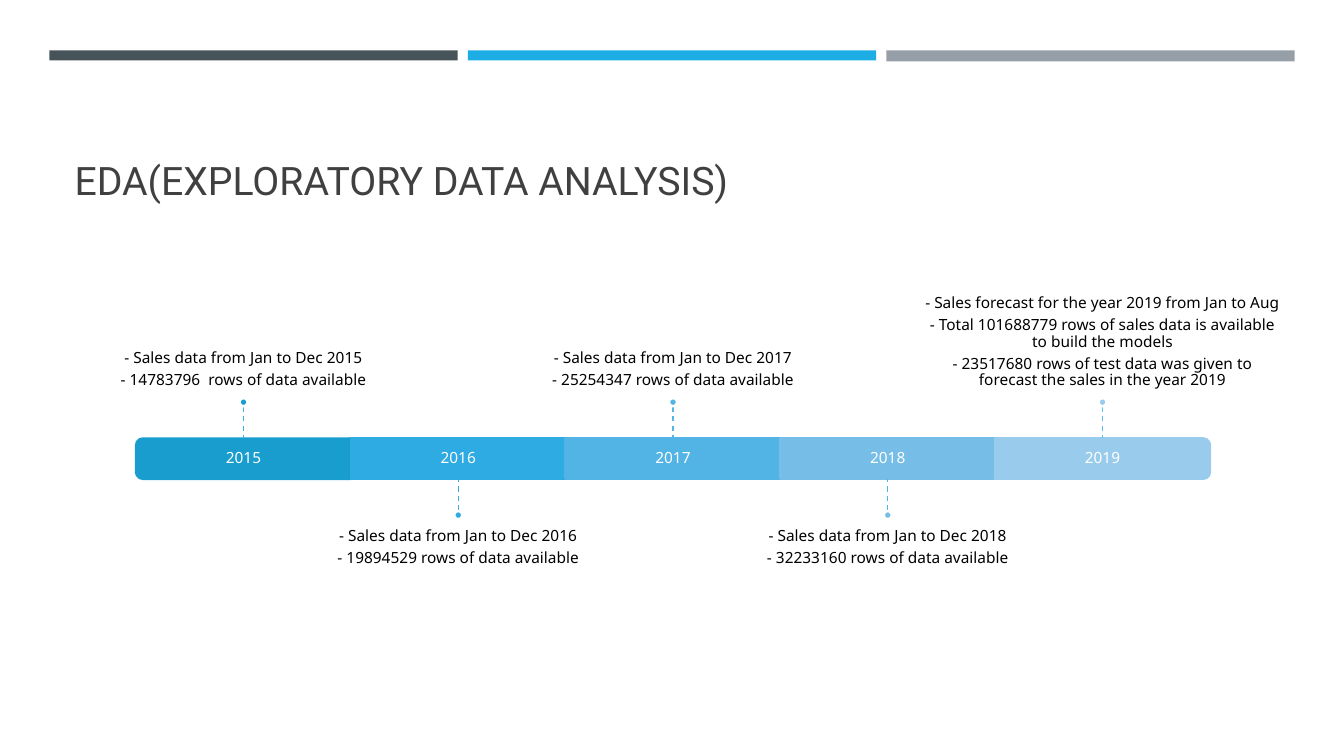
from pptx import Presentation
from pptx.dml.color import RGBColor
from pptx.enum.dml import MSO_LINE
from pptx.enum.shapes import MSO_CONNECTOR, MSO_SHAPE
from pptx.enum.text import MSO_ANCHOR, PP_ALIGN
from pptx.oxml.ns import qn
from pptx.util import Inches, Pt
from lxml import etree

RECT, ROUND_END, OVAL = MSO_SHAPE.RECTANGLE, MSO_SHAPE.ROUND_2_SAME_RECTANGLE, MSO_SHAPE.OVAL
STRAIGHT, DASH = MSO_CONNECTOR.STRAIGHT, MSO_LINE.DASH
TOP, MIDDLE, BOTTOM = MSO_ANCHOR.TOP, MSO_ANCHOR.MIDDLE, MSO_ANCHOR.BOTTOM
LEFT, CENTER = PP_ALIGN.LEFT, PP_ALIGN.CENTER

BAR_LEFT, BAR_TOP, BAR_H = 1.35, 4.35, 0.4
STEP = 2.13
STEM, DOT = 0.32, 0.08
NOTE_W, NOTE_H = 3.55, 1.39

HEADER_BARS = [(0.49, 0.1, "465359"), (8.79, 0.11, "969FA7"), (4.64, 0.1, "1CADE4")]

# year, segment colour, stem colour, notes
YEARS = [
    ("2015", "199DCF", "36B3E9",
     ["- Sales data from Jan to Dec 2015", "- 14783796\u00a0 rows of data available"]),
    ("2016", "2DABE2", "35AEE3",
     ["- Sales data from Jan to Dec 2016", "- 19894529 rows of data available"]),
    ("2017", "52B3E5", "57B5E6",
     ["- Sales data from Jan to Dec 2017", "- 25254347 rows of data available"]),
    ("2018", "76BEE8", "48B8EC",
     ["- Sales data from Jan to Dec 2018", "- 32233160 rows of data available"]),
    ("2019", "99CBEC", "5ABEEF",
     ["- Sales forecast for the year 2019 from Jan to Aug",
      "- Total 101688779 rows of sales data is available to build the models",
      "- 23517680 rows of test data was given to forecast the sales in the year 2019"]),
]


def rgb(value):
    return RGBColor.from_string(value)


def set_attrs(obj, values):
    for name, value in values.items():
        setattr(obj, name, value)


def add_shape(slide, kind, x, y, w, h, fill, line=None):
    sp = slide.shapes.add_shape(kind, Inches(x), Inches(y), Inches(w), Inches(h))
    sp.shadow.inherit = False
    sp.fill.solid()
    sp.fill.fore_color.rgb = rgb(fill)
    if line:
        sp.line.color.rgb = rgb(line)
        sp.line.width = Pt(1.75)
    else:
        sp.line.fill.background()
    return sp


def add_text(slide, x, y, w, h, lines, color, anchor, margins):
    """Add centred paragraphs; margins are left, top, right and bottom."""
    box = slide.shapes.add_textbox(Inches(x), Inches(y), Inches(w), Inches(h))
    tf = box.text_frame
    set_attrs(tf, {"word_wrap": True, "vertical_anchor": anchor})
    for side, margin in zip(("left", "top", "right", "bottom"), margins):
        setattr(tf, f"margin_{side}", Inches(margin))
    for i, line in enumerate(lines):
        p = tf.add_paragraph() if i else tf.paragraphs[0]
        set_attrs(p, {"alignment": CENTER, "line_spacing": 0.9, "space_after": Pt(3.85)})
        r = p.add_run()
        r.text = line
        set_attrs(r.font, {"name": "Noto Sans", "size": Pt(11)})
        r.font.color.rgb = rgb(color)


def add_stem(slide, x, y_from, y_to, color):
    stem = slide.shapes.add_connector(
        STRAIGHT, Inches(x), Inches(y_from), Inches(x), Inches(y_to))
    set_attrs(stem.line, {"width": Pt(1), "dash_style": DASH})
    stem.line.color.rgb = rgb(color)
    etree.SubElement(stem._element.spPr, qn("a:effectLst"))
    return stem


def add_segment(slide, i, center, color):
    """Add one part of the bar; the first and last have rounded outer ends."""
    if 0 < i < len(YEARS) - 1:
        return add_shape(slide, RECT, center - STEP / 2, BAR_TOP, STEP, BAR_H, color, color)
    sp = add_shape(slide, ROUND_END, center - BAR_H / 2, BAR_TOP + (BAR_H - STEP) / 2,
                   BAR_H, STEP, color, color)
    sp.rotation = 90 if i else 270
    return sp


def add_year(slide, i, year, color, stem_color, notes):
    center = BAR_LEFT + STEP * (i + 0.5)
    above = i % 2 == 0
    if above:
        edge, tip, dot_y = BAR_TOP, BAR_TOP - STEM, BAR_TOP - STEM - DOT
        note_y, anchor, margins = dot_y - NOTE_H, BOTTOM, (0, 0, 0, 0.09)
    else:
        edge = BAR_TOP + BAR_H
        tip = dot_y = edge + STEM
        note_y, anchor, margins = dot_y + DOT, TOP, (0, 0.09, 0, 0)

    segment = add_segment(slide, i, center, color)
    add_text(slide, center - STEP / 2, BAR_TOP, STEP, BAR_H, [year],
             "FFFFFF", MIDDLE, (0.09,) * 4)
    add_text(slide, center - NOTE_W / 2, note_y, NOTE_W, NOTE_H, notes,
             "000000", anchor, margins)
    stem = add_stem(slide, center, tip, edge, stem_color)
    if not segment.rotation:
        stem.end_connect(segment, 0 if above else 2)
    add_shape(slide, OVAL, center - DOT / 2, dot_y, DOT, DOT, color, "FFFFFF")


def set_title(slide, text):
    title = slide.shapes.title
    set_attrs(title, {"left": Inches(0.64), "top": Inches(0.77),
                      "width": Inches(12.06), "height": Inches(1.3)})
    tf = title.text_frame
    tf.vertical_anchor = BOTTOM
    p = tf.paragraphs[0]
    p.alignment = LEFT
    r = p.add_run()
    r.text = text
    set_attrs(r.font, {"name": "Roboto", "size": Pt(28)})
    r.font.color.rgb = rgb("404040")


def main():
    prs = Presentation()
    set_attrs(prs, {"slide_width": Inches(13.33), "slide_height": Inches(7.5)})
    slide = prs.slides.add_slide(prs.slide_layouts[5])
    for x, h, color in HEADER_BARS:
        add_shape(slide, RECT, x, 0.5, 4.05, h, color)
    set_title(slide, "EDA(EXPLORATORY DATA ANALYSIS)")
    for i, entry in enumerate(YEARS):
        add_year(slide, i, *entry)
    prs.save("out.pptx")


if __name__ == "__main__":
    main()
